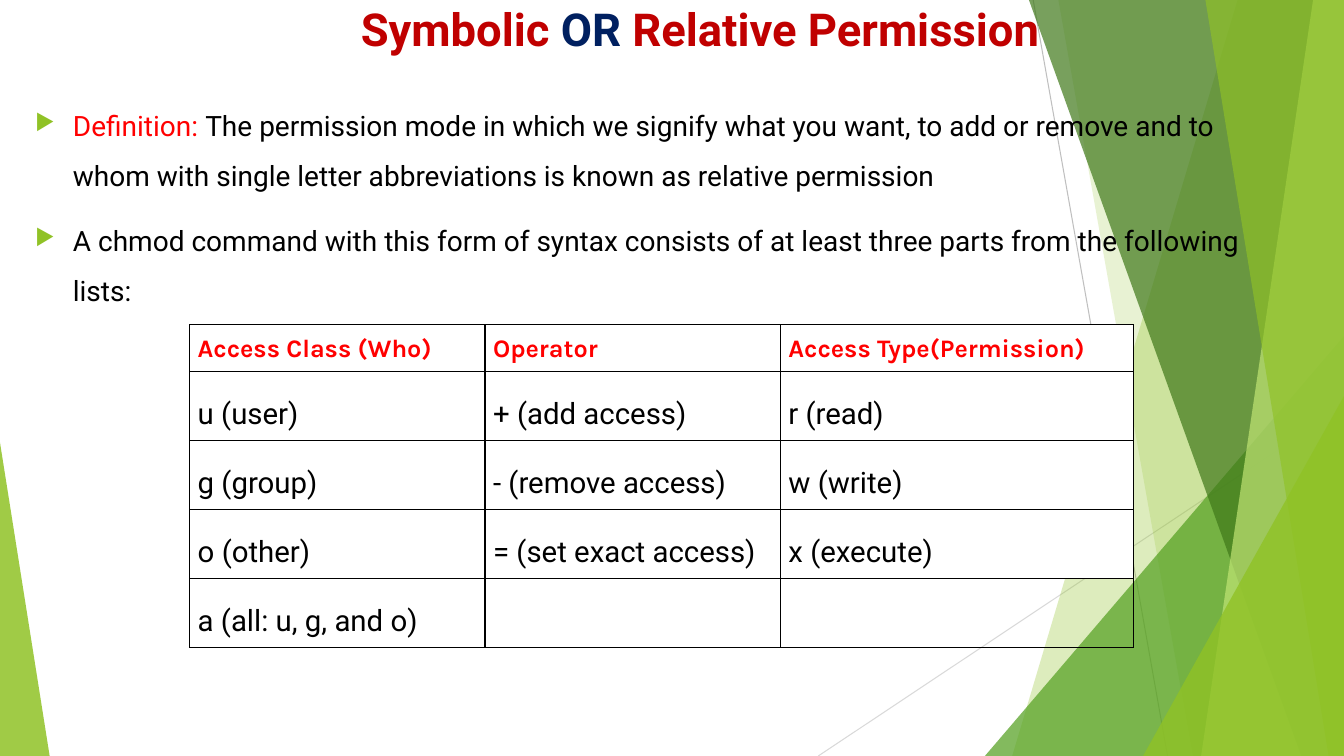
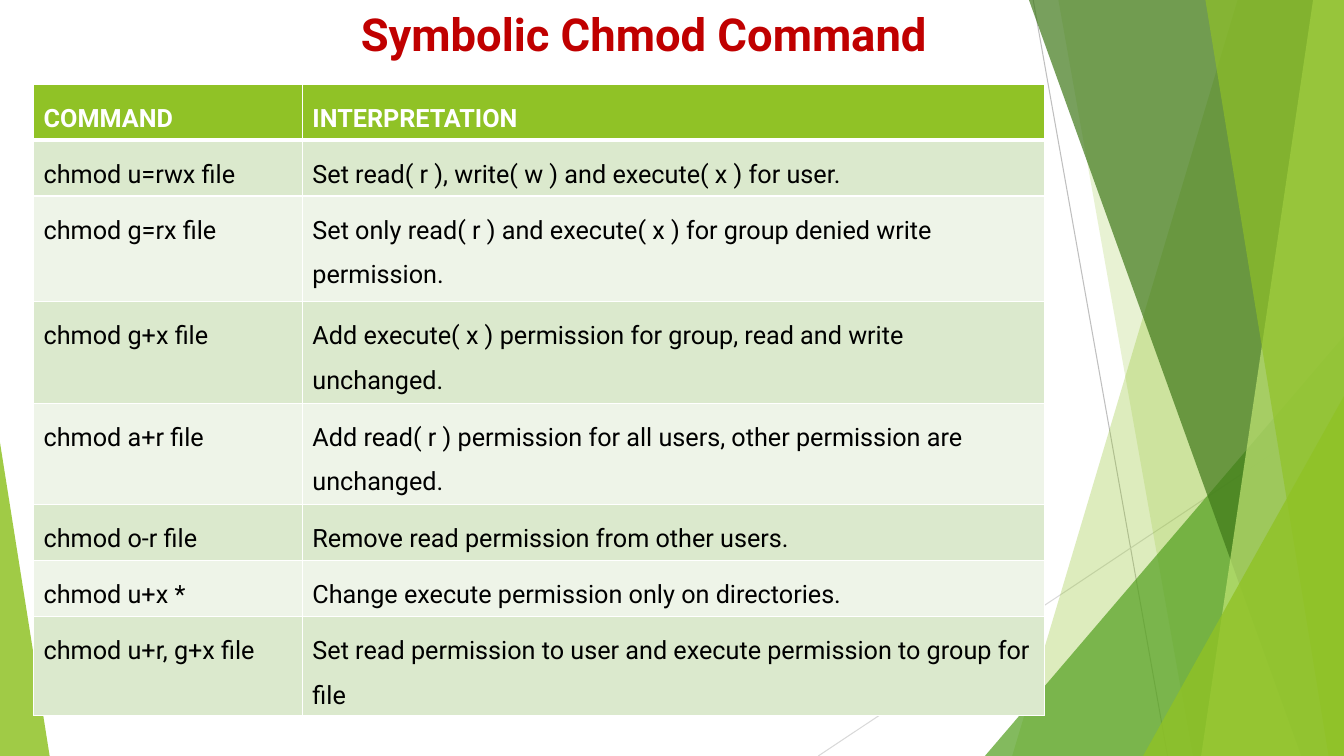
from lxml import etree
from pptx import Presentation
from pptx.dml.color import RGBColor
from pptx.enum import shapes as es, text as et
from pptx.oxml.ns import qn
from pptx.util import Pt

WIDTH, HEIGHT = 960, 540
TITLE_ONLY = 5
NO_TABLE_STYLE = "{2D5ABB26-0587-4C30-8999-92F81FD0307C}"
FONT, HEADER_FONT = "Roboto", "Karla"
BLACK, WHITE, RED = "000000", "FFFFFF", "FF0000"
DARK_RED, NAVY, GREEN = "C00000", "002060", "90C226"
ROW_TINTS = ("EEF4E8", "DBE9CD")

# Thin lines: start x, start y, end x, end y, colour
RAYS = [
    (738, 0, 834, 540, "BFBFBF"),
    (960, 290, 584.5, 540, "D9D9D9"),
]
# Bands reach the right edge: top x, bottom x.
# Wedges are right triangles on the bottom edge: left, top, width, apex.
# Both end with colour and opacity in percent.
FACETS = [
    ("band", (884, 723), GREEN, 30),
    ("band", (756, 852), GREEN, 20),
    ("wedge", (703.5, 240, 256.5, 1), "54A021", 72),
    ("band", (735, 929.5), "3F7819", 70),
    ("band", (938, 858), "C0E474", 70),
    ("band", (861, 949), GREEN, 65),
    ("wedge", (816.5, 283, 143.5, 1), GREEN, 80),
    ("wedge", (0, 316, 35.5, 0), GREEN, 85),
]

ACCESS_ROWS = [
    ("Access Class (Who)", "Operator", "Access Type(Permission)"),
    ("u (user)", "+ (add access)", "r (read)"),
    ("g (group)", "- (remove access)", "w (write)"),
    ("o (other)", "= (set exact access)", "x (execute)"),
    ("a (all: u, g, and o)", "", ""),
]
COMMAND_ROWS = [
    ("COMMAND", "INTERPRETATION"),
    ("chmod u=rwx file", "Set read( r ), write( w ) and execute( x ) for user."),
    ("chmod g=rx file", "Set only read( r ) and execute( x ) for group denied write permission."),
    ("chmod g+x file", "Add execute( x ) permission for group, read and write unchanged."),
    ("chmod a+r file", "Add read( r ) permission for all users, other permission are unchanged."),
    ("chmod o-r file", "Remove read permission from other users."),
    ("chmod u+x *", "Change execute permission only on directories."),
    ("chmod u+r, g+x file", "Set read permission to user and execute permission to group for file"),
]
POINTS = [
    [("Definition: ", RED),
     ("The permission mode in which we signify what you want, to add or remove and to whom "
      "with single letter abbreviations is known as relative permission", BLACK)],
    [("A chmod command with this form of syntax consists of at least three parts "
      "from the following lists:", BLACK)],
]


def rgb(colour):
    return RGBColor.from_string(colour)


def pts(*lengths):
    return [Pt(length) for length in lengths]


def set_font(font, size, colour, name=FONT, bold=False):
    font.name, font.size, font.bold = name, Pt(size), bold
    font.color.rgb = rgb(colour)


def add_ray(shapes, x1, y1, x2, y2, colour):
    ray = shapes.add_connector(es.MSO_CONNECTOR.STRAIGHT, *pts(x1, y1, x2, y2))
    ray.line.color.rgb = rgb(colour)
    ray.line.width = Pt(0.75)
    etree.SubElement(ray.element.spPr, qn("a:effectLst"))
    return ray


def add_facet(shapes, kind, place, colour, opacity):
    if kind == "band":
        top_x, bottom_x = place
        outline = shapes.build_freeform(*pts(top_x, 0))
        corners = [(WIDTH, 0), (WIDTH, HEIGHT), (bottom_x, HEIGHT)]
        outline.add_line_segments([pts(*corner) for corner in corners])
        facet = outline.convert_to_shape()
    else:
        left, top, width, apex = place
        facet = shapes.add_shape(es.MSO_SHAPE.ISOSCELES_TRIANGLE,
                                 *pts(left, top, width, HEIGHT - top))
        facet.adjustments[0] = apex
    facet.shadow.inherit = False
    facet.line.fill.background()
    facet.fill.solid()
    facet.fill.fore_color.rgb = rgb(colour)
    solid = facet.element.spPr.find(qn("a:solidFill"))
    etree.SubElement(solid[0], qn("a:alpha"), val=str(opacity * 1000))
    return facet


def move_backdrop_to_master(slide, master):
    """Draw the rays and facets on a slide, then hand them to the master for all slides."""
    parts = [add_ray(slide.shapes, *ray) for ray in RAYS]
    parts += [add_facet(slide.shapes, *facet) for facet in FACETS]
    for index, part in enumerate(parts):
        part.element.xpath(".//p:cNvPr")[0].set("id", str(100 + index))
        master.shapes.element.insert(2 + index, part.element)


def place_title(slide, box, runs):
    title = slide.shapes.title
    title.left, title.top, title.width, title.height = pts(*box)
    frame = title.text_frame
    frame.word_wrap = True
    frame.auto_size = et.MSO_AUTO_SIZE.NONE
    frame.vertical_anchor = et.MSO_ANCHOR.MIDDLE
    heading = frame.paragraphs[0]
    heading.alignment = et.PP_ALIGN.LEFT
    set_font(heading.font, 32.4, DARK_RED, bold=True)
    for words, colour in runs:
        run = heading.add_run()
        run.text = words
        run.font.color.rgb = rgb(colour)


def add_bullet(paragraph, indent):
    props = paragraph._p.get_or_add_pPr()
    props.set("marL", str(Pt(indent)))
    props.set("indent", str(-Pt(indent)))
    tint = etree.SubElement(props, qn("a:buClr"))
    etree.SubElement(tint, qn("a:srgbClr"), val=GREEN)
    etree.SubElement(props, qn("a:buSzPct"), val="80000")
    etree.SubElement(props, qn("a:buChar"), char="▶")


def place_points(slide, box, points):
    frame = slide.shapes.add_textbox(*pts(*box)).text_frame
    frame.word_wrap = True
    for index, runs in enumerate(points):
        point = frame.add_paragraph() if index else frame.paragraphs[0]
        add_bullet(point, 27)
        point.line_spacing = 1.5
        point.space_before = Pt(10)
        set_font(point.font, 20, BLACK)
        for words, colour in runs:
            run = point.add_run()
            run.text = words
            run.font.color.rgb = rgb(colour)


def set_borders(cell, colour, top=1, bottom=1):
    props = cell._tc.get_or_add_tcPr()
    for side, width in (("L", 1), ("R", 1), ("T", top), ("B", bottom)):
        edge = etree.SubElement(props, qn("a:ln" + side), w=str(Pt(width)))
        solid = etree.SubElement(edge, qn("a:solidFill"))
        etree.SubElement(solid, qn("a:srgbClr"), val=colour)


def fill_cell(cell, words, fill, size, colour, name=FONT, bold=False, spacing=1.5):
    cell.fill.solid()
    cell.fill.fore_color.rgb = rgb(fill)
    cell.text = words
    line = cell.text_frame.paragraphs[0]
    line.line_spacing = spacing
    set_font(line.font, size, colour, name, bold)


def add_plain_table(slide, left, top, widths, heights):
    frame = slide.shapes.add_table(len(heights), len(widths),
                                   *pts(left, top, sum(widths), sum(heights)))
    table = frame.table
    table.first_row = table.horz_banding = False
    table._tbl.tblPr.find(qn("a:tableStyleId")).text = NO_TABLE_STYLE
    for column, width in zip(table.columns, widths):
        column.width = Pt(width)
    for row, height in zip(table.rows, heights):
        row.height = Pt(height)
    return table


def place_access_table(slide, left, top):
    table = add_plain_table(slide, left, top, [211, 211, 252], [33.5] + [49] * 4)
    for r, row in enumerate(ACCESS_ROWS):
        for c, words in enumerate(row):
            cell = table.cell(r, c)
            set_borders(cell, BLACK)
            cell.margin_left = cell.margin_right = Pt(5.75)
            cell.margin_top = cell.margin_bottom = Pt(5.75)
            if r == 0:
                cell.vertical_anchor = et.MSO_ANCHOR.BOTTOM
                fill_cell(cell, words, WHITE, 18, RED, HEADER_FONT, bold=True, spacing=1.0)
            elif words:
                fill_cell(cell, words, WHITE, 21, BLACK)
            else:
                cell.fill.background()


def place_command_table(slide, left, top):
    heights = [39.5, 40, 75.5, 72.5, 72.5, 40, 40, 70.5]
    table = add_plain_table(slide, left, top, [192, 530], heights)
    for r, row in enumerate(COMMAND_ROWS):
        header = r == 0
        for c, words in enumerate(row):
            cell = table.cell(r, c)
            set_borders(cell, WHITE, top=3 if r == 1 else 1, bottom=3 if header else 1)
            fill_cell(cell, words, GREEN if header else ROW_TINTS[r % 2], 18,
                      WHITE if header else BLACK, bold=header)


def build_permission_slide(slide):
    place_title(slide, (250.5, -3.5, 508, 47),
                [("Symbolic ", DARK_RED), ("OR", NAVY), (" Relative Permission", DARK_RED)])
    place_points(slide, (18, 62, 908.5, 160), POINTS)
    place_access_table(slide, 135.5, 232)


def build_command_slide(slide):
    place_title(slide, (250.5, 0, 434, 47), [("Symbolic Chmod Command", DARK_RED)])
    place_command_table(slide, 24, 60.5)


def main():
    deck = Presentation()
    deck.slide_width, deck.slide_height = pts(WIDTH, HEIGHT)
    layout = deck.slide_layouts[TITLE_ONLY]
    permission_slide = deck.slides.add_slide(layout)
    move_backdrop_to_master(permission_slide, deck.slide_master)
    build_permission_slide(permission_slide)
    build_command_slide(deck.slides.add_slide(layout))
    deck.save("out.pptx")


if __name__ == "__main__":
    main()
